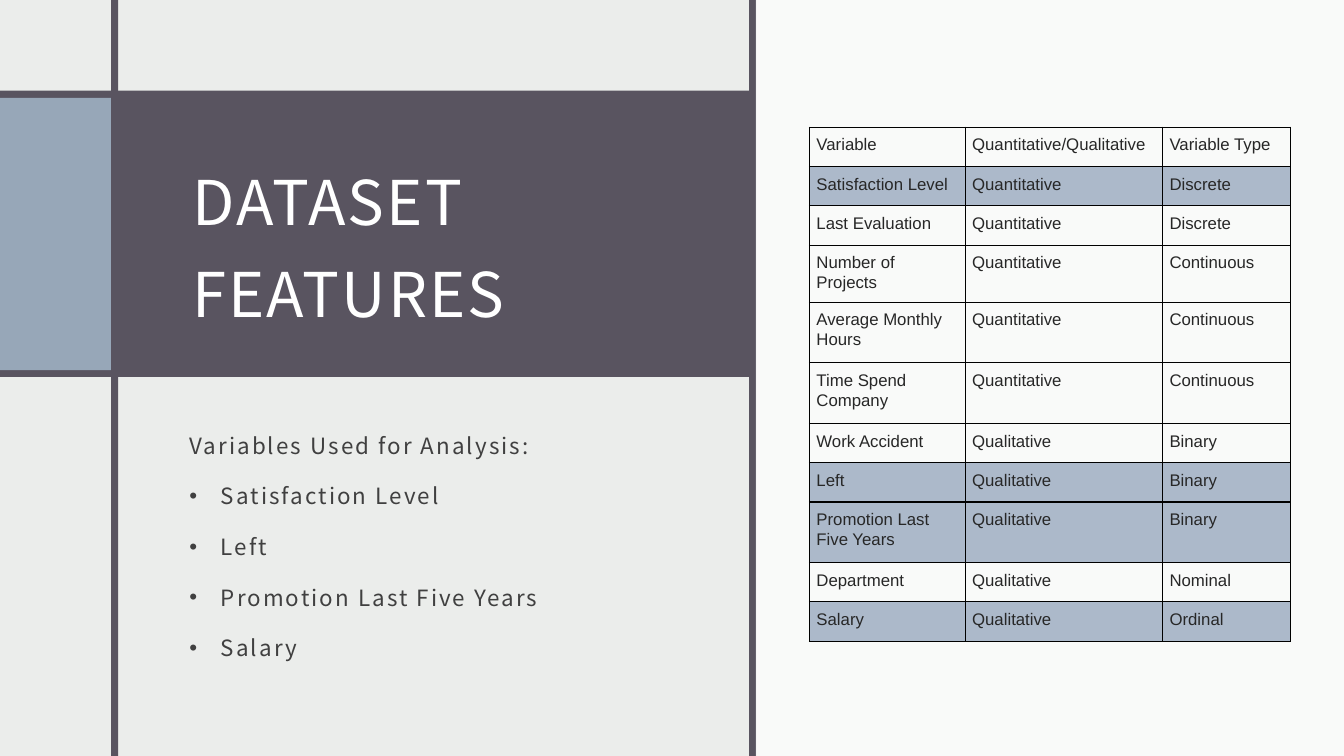
from typing import NamedTuple

from lxml.etree import SubElement
from pptx import Presentation
from pptx.dml.color import RGBColor
from pptx.enum.shapes import MSO_SHAPE
from pptx.enum.text import MSO_ANCHOR
from pptx.oxml.ns import qn
from pptx.util import Pt

HEADING_FONT, TABLE_FONT = "Noto Sans CJK JP", "Arial"
PALE, PLUM, BLUE, HIGHLIGHT = "EBEDEB", "595460", "97A7B8", "ACB9CA"
WHITE, BLACK, BODY, CELL_TEXT = "FFFFFF", "000000", "404040", "272727"
WIDTH, HEIGHT, BAR = 960, 540, 5


class Block(NamedTuple):
    left: float
    top: float
    width: float
    height: float
    color: str
    opacity: int = 100


class Variable(NamedTuple):
    name: str
    nature: str
    kind: str
    height: float = 28.08
    used: bool = False


BLOCKS = [
    Block(0, 64.8, 535.5, 204.5, PLUM),
    Block(0, 70, 84, 194.4, BLUE),
    Block(79.4, 0, BAR, HEIGHT, PLUM),
    Block(535.1, 0, BAR, HEIGHT, PLUM),
    Block(540, 0, 420, HEIGHT, WHITE, 75),
]
TALL = 43.3
VARIABLES = [
    Variable("Variable", "Quantitative/Qualitative", "Variable Type"),
    Variable("Satisfaction Level", "Quantitative", "Discrete", used=True),
    Variable("Last Evaluation", "Quantitative", "Discrete"),
    Variable("Number of Projects", "Quantitative", "Continuous"),
    Variable("Average Monthly Hours", "Quantitative", "Continuous", TALL),
    Variable("Time Spend Company", "Quantitative", "Continuous", TALL),
    Variable("Work Accident", "Qualitative", "Binary"),
    Variable("Left", "Qualitative", "Binary", used=True),
    Variable("Promotion Last Five Years", "Qualitative", "Binary", TALL, True),
    Variable("Department", "Qualitative", "Nominal"),
    Variable("Salary", "Qualitative", "Ordinal", used=True),
]
COLUMNS = [111.2, 141, 91.4]


def rgb(color: str) -> RGBColor:
    return RGBColor.from_string(color)


def add_block(slide, block: Block) -> None:
    box = map(Pt, (block.left, block.top, block.width, block.height))
    sp = slide.shapes.add_shape(MSO_SHAPE.RECTANGLE, *box)
    sp.shadow.inherit = False
    sp.line.fill.background()
    sp.fill.solid()
    sp.fill.fore_color.rgb = rgb(block.color)
    if block.opacity < 100:
        clr = sp.fill._xPr.find(".//" + qn("a:srgbClr"))
        SubElement(clr, qn("a:alpha"), val=str(block.opacity * 1000))


def add_run(p, text: str, size: float, font: str, color: str, spacing: float = 0) -> None:
    r = p.add_run()
    r.text = text
    r.font.size = Pt(size)
    r.font.name = font
    r.font.color.rgb = rgb(color)
    if spacing:
        r.font._element.set("spc", str(round(spacing * 100)))


def add_text_frame(slide, left: float, top: float, width: float, height: float):
    tf = slide.shapes.add_textbox(Pt(left), Pt(top), Pt(width), Pt(height)).text_frame
    tf.word_wrap = True
    return tf


def add_title(slide) -> None:
    tf = add_text_frame(slide, 128.9, 83.5, 373.7, 171.4)
    tf.vertical_anchor = MSO_ANCHOR.MIDDLE
    tf.margin_left = tf.margin_right = tf.margin_top = Pt(8.64)
    tf.margin_bottom = Pt(7.2)
    p = tf.paragraphs[0]
    p.line_spacing = 1.25
    add_run(p, "DATASET FEATURES", 44, HEADING_FONT, WHITE, 1.5)


def add_used_variables(slide) -> None:
    tf = add_text_frame(slide, 128.2, 297.4, 351.4, 177.1)
    used = [v.name for v in VARIABLES if v.used]
    for i, text in enumerate(["Variables Used for Analysis:", *used]):
        p = tf.add_paragraph() if i else tf.paragraphs[0]
        p.line_spacing = 1.4
        p.space_before = Pt(9.3)
        if i:
            pPr = p._p.get_or_add_pPr()
            pPr.set("marL", str(Pt(22.5)))
            pPr.set("indent", str(-Pt(22.5)))
            SubElement(pPr, qn("a:buFont"), typeface="Arial")
            SubElement(pPr, qn("a:buChar"), char="•")
        add_run(p, text, 16, HEADING_FONT, BODY, 1.5)


def add_borders(cell) -> None:
    tcPr = cell._tc.get_or_add_tcPr()
    for side in ("lnL", "lnR", "lnT", "lnB"):
        ln = SubElement(tcPr, qn("a:" + side), w=str(Pt(1)))
        SubElement(SubElement(ln, qn("a:solidFill")), qn("a:srgbClr"), val=BLACK)


def fill_cell(cell, text: str, used: bool) -> None:
    cell.margin_left = cell.margin_right = Pt(5)
    cell.margin_top = cell.margin_bottom = Pt(5)
    add_borders(cell)
    if used:
        cell.fill.solid()
        cell.fill.fore_color.rgb = rgb(HIGHLIGHT)
    else:
        cell.fill.background()
    p = cell.text_frame.paragraphs[0]
    p.line_spacing = 1.07
    add_run(p, text, 12, TABLE_FONT, CELL_TEXT)


def add_variable_table(slide) -> None:
    height = sum(v.height for v in VARIABLES)
    table = slide.shapes.add_table(
        len(VARIABLES), len(COLUMNS), Pt(578.2), Pt(90.9), Pt(sum(COLUMNS)), Pt(height)
    ).table
    table.first_row = table.horz_banding = False
    for column, width in zip(table.columns, COLUMNS):
        column.width = Pt(width)
    for row, v in zip(table.rows, VARIABLES):
        row.height = Pt(v.height)
        for cell, text in zip(row.cells, (v.name, v.nature, v.kind)):
            fill_cell(cell, text, v.used)


def main() -> None:
    prs = Presentation()
    prs.slide_width, prs.slide_height = Pt(WIDTH), Pt(HEIGHT)
    slide = prs.slides.add_slide(prs.slide_layouts[6])
    slide.background.fill.solid()
    slide.background.fill.fore_color.rgb = rgb(PALE)
    for block in BLOCKS:
        add_block(slide, block)
    add_title(slide)
    add_variable_table(slide)
    add_used_variables(slide)
    prs.save("out.pptx")


if __name__ == "__main__":
    main()
